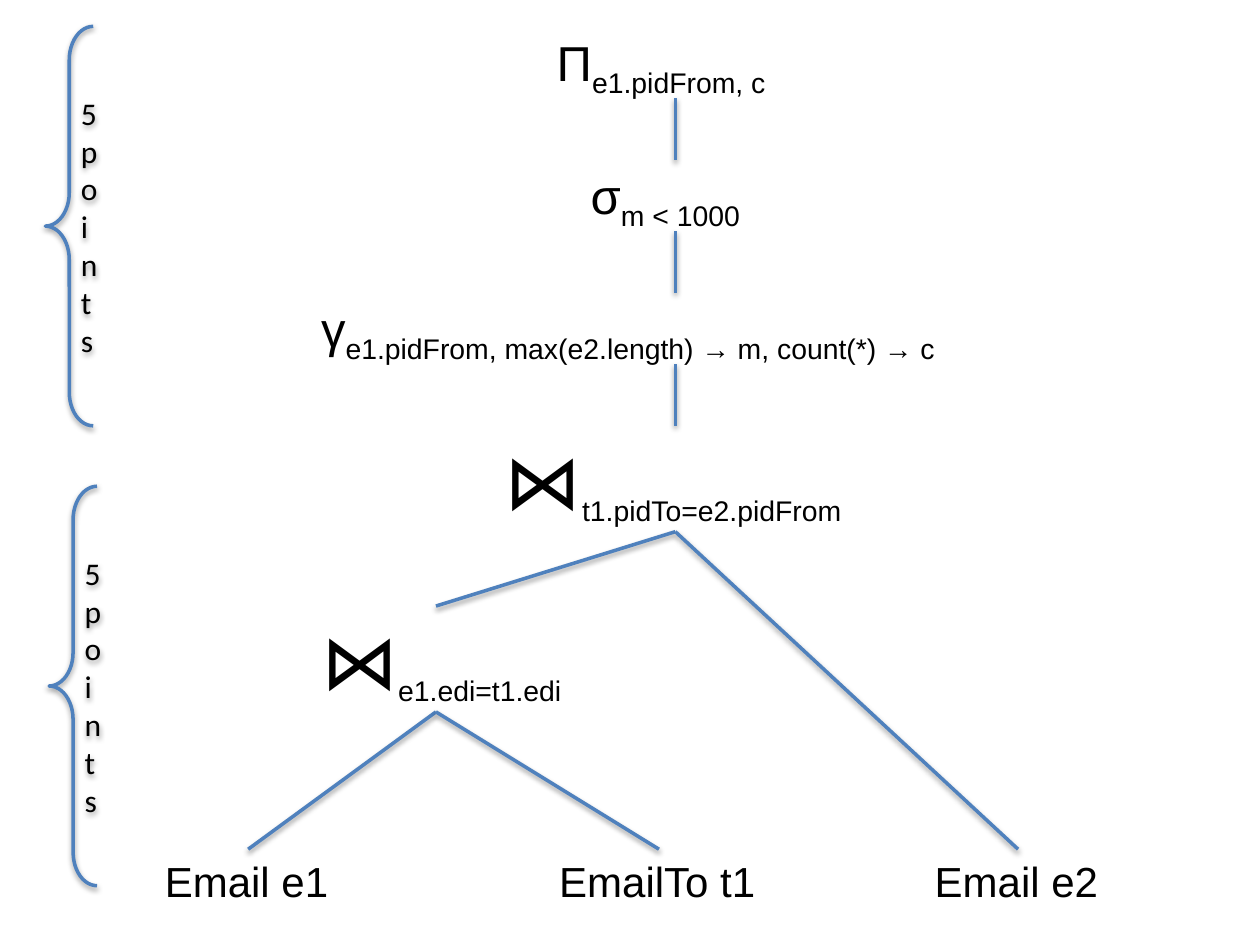
"""Build a slide showing a relational algebra query plan with point brackets."""
from dataclasses import dataclass

from lxml import etree
from pptx import Presentation
from pptx.dml.color import RGBColor
from pptx.enum.shapes import MSO_CONNECTOR, MSO_SHAPE
from pptx.enum.text import MSO_ANCHOR, PP_ALIGN
from pptx.oxml import parse_xml
from pptx.oxml.ns import nsdecls
from pptx.util import Inches, Pt


@dataclass(frozen=True)
class Theme:
    ink: RGBColor = RGBColor(0, 0, 0)
    edge: RGBColor = RGBColor(0x4F, 0x81, 0xBD)
    edge_width: float = 2
    plan_font: str = "Arial"
    brace_font: str = "Calibri"
    join_size: int = 44
    operator_size: int = 28
    relation_size: int = 24
    brace_size: int = 18


@dataclass(frozen=True)
class Label:
    left: float
    top: float
    width: float
    height: float
    text: str
    size: int
    subscript: str = ""


@dataclass(frozen=True)
class Edge:
    start: tuple[float, float]
    end: tuple[float, float]


@dataclass(frozen=True)
class Brace:
    left: float
    top: float
    text: str = "5points"


THEME = Theme()
STEM_X = 5.36
STEM_TOP = 0.78
OPERATOR_PITCH = 1.055
STEM_LENGTH = 0.49
LEAF_TOP = 6.74
UPPER_JOIN = (STEM_X, 4.22)
LOWER_JOIN_X = 3.46

OPERATORS = [
    (4.32, 2.09, "Π", "e1.pidFrom, c"),
    (4.59, 1.54, "σ", "m < 1000"),
    (2.45, 5.83, "γ", "e1.pidFrom, max(e2.length) → m, count(*) → c"),
]
JOINS = [
    Label(3.91, 3.38, 2.9, 0.84, "⋈", THEME.join_size, "t1.pidTo=e2.pidFrom"),
    Label(2.45, 4.81, 2.3, 0.84, "⋈", THEME.join_size, "e1.edi=t1.edi"),
]
RELATIONS = [
    (1.21, 1.51, "Email e1"),
    (4.34, 1.77, "EmailTo t1"),
    (7.32, 1.51, "Email e2"),
]
BRANCHES = [
    Edge((LOWER_JOIN_X, 4.81), UPPER_JOIN),
    Edge((8.08, LEAF_TOP), UPPER_JOIN),
    Edge((1.97, LEAF_TOP), (LOWER_JOIN_X, 5.65)),
    Edge((5.23, LEAF_TOP), (LOWER_JOIN_X, 5.65)),
]
BRACES = [Brace(0.36, 0.21), Brace(0.39, 3.86)]


def style_outline(shape) -> None:
    shape.line.color.rgb = THEME.edge
    shape.line.width = Pt(THEME.edge_width)
    effects = parse_xml(f'<a:effectLst {nsdecls("a")}/>')
    shadow = etree.SubElement(
        effects, effects.tag.replace("effectLst", "outerShdw"),
        blurRad="40000", dist="20000", dir="5400000", rotWithShape="0")
    color = etree.SubElement(
        shadow, effects.tag.replace("effectLst", "srgbClr"), val="000000")
    etree.SubElement(
        color, effects.tag.replace("effectLst", "alpha"), val="38000")
    shape._element.spPr.append(effects)


def add_run(paragraph, text: str, font: str, size: int):
    run = paragraph.add_run()
    run.text = text
    run.font.name = font
    run.font.size = Pt(size)
    run.font.color.rgb = THEME.ink
    return run


def draw_label(slide, label: Label) -> None:
    box = slide.shapes.add_textbox(
        Inches(label.left), Inches(label.top),
        Inches(label.width), Inches(label.height))
    box.text_frame.word_wrap = True
    paragraph = box.text_frame.paragraphs[0]
    add_run(paragraph, label.text, THEME.plan_font, label.size)
    if label.subscript:
        run = add_run(paragraph, label.subscript,
                      THEME.plan_font, THEME.operator_size)
        run.font._element.set("baseline", "-25000")


def draw_edge(slide, edge: Edge) -> None:
    line = slide.shapes.add_connector(
        MSO_CONNECTOR.STRAIGHT,
        *(Inches(value) for value in edge.start + edge.end))
    style_outline(line)


def draw_brace(slide, brace: Brace) -> None:
    shape = slide.shapes.add_shape(
        MSO_SHAPE.LEFT_BRACE, Inches(brace.left), Inches(brace.top),
        Inches(0.38), Inches(3.17))
    shape.adjustments[0] = 0.7
    shape.adjustments[1] = 0.5
    shape.fill.background()
    style_outline(shape)
    frame = shape.text_frame
    frame.word_wrap = True
    frame.vertical_anchor = MSO_ANCHOR.MIDDLE
    paragraph = frame.paragraphs[0]
    paragraph.alignment = PP_ALIGN.LEFT
    add_run(paragraph, brace.text, THEME.brace_font, THEME.brace_size)


def main() -> None:
    presentation = Presentation()
    presentation.slide_width = Inches(10)
    presentation.slide_height = Inches(7.5)
    slide = presentation.slides.add_slide(presentation.slide_layouts[6])

    for row, (left, width, symbol, subscript) in enumerate(OPERATORS):
        offset = row * OPERATOR_PITCH
        draw_label(slide, Label(left, 0.21 + offset, width, 0.57, symbol,
                                THEME.operator_size, subscript))
        stem_top = STEM_TOP + offset
        draw_edge(slide, Edge((STEM_X, stem_top + STEM_LENGTH),
                              (STEM_X, stem_top)))
    for join in JOINS:
        draw_label(slide, join)
    for left, width, name in RELATIONS:
        draw_label(slide, Label(left, LEAF_TOP, width, 0.5, name,
                                THEME.relation_size))
    for branch in BRANCHES:
        draw_edge(slide, branch)
    for brace in BRACES:
        draw_brace(slide, brace)
    presentation.save("out.pptx")


main()
